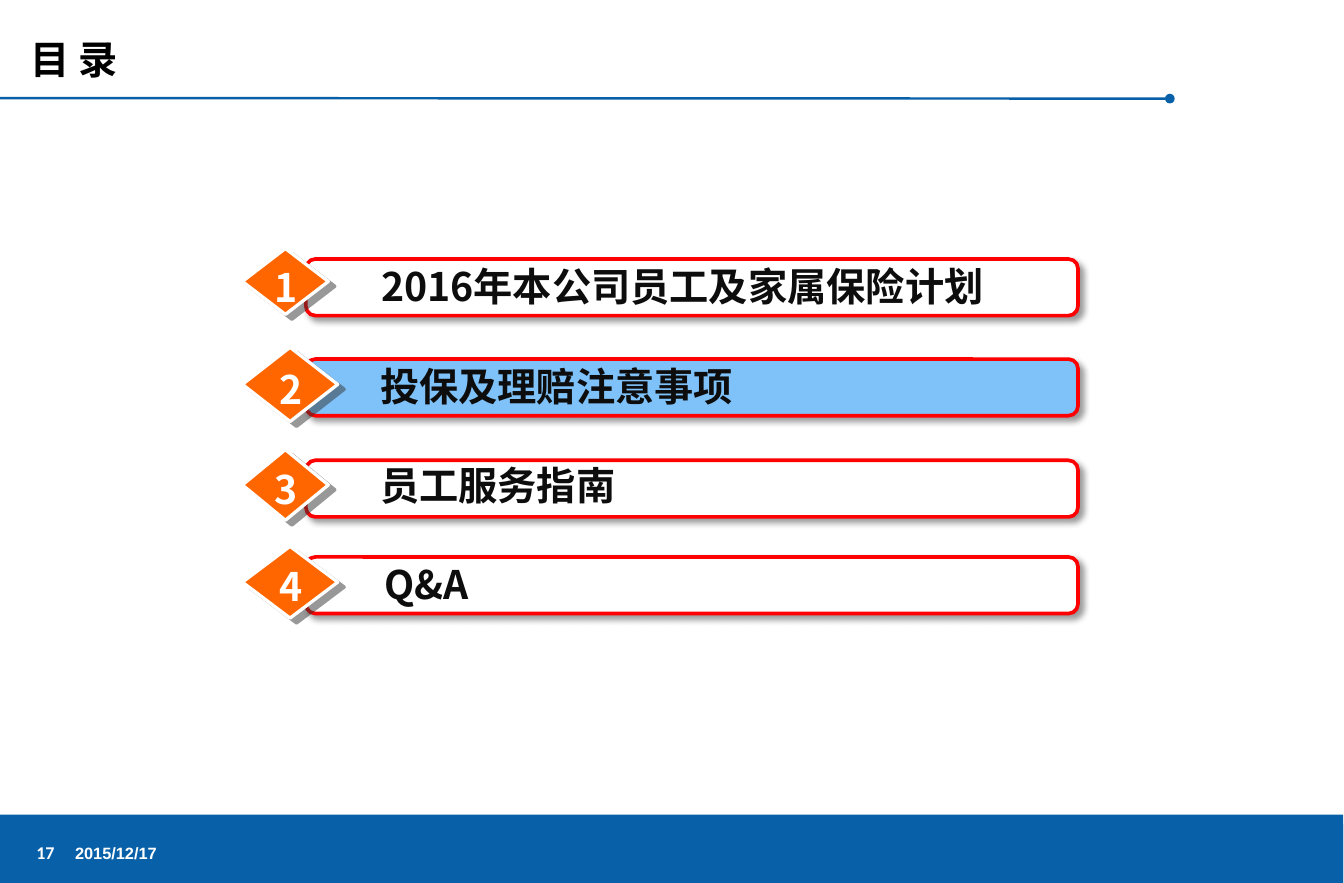
from dataclasses import dataclass
from typing import Any

from lxml import etree
from pptx import Presentation
from pptx import util as u
from pptx.dml.color import RGBColor
from pptx.enum import shapes as sh, text as tx
from pptx.oxml.ns import qn


@dataclass(frozen=True)
class Theme:
    blue: str = "0860A8"
    sky: str = "7FC2F9"
    red: str = "FF0000"
    orange: str = "FF6600"
    white: str = "FFFFFF"
    black: str = "000000"
    ink: str = "0D0D0D"
    grey: str = "333333"
    head: float = 24
    page: float = 11
    date: float = 10
    cjk: str = "Noto Sans CJK SC"


@dataclass(frozen=True)
class Shade:
    color: str
    alpha: int
    blur: float
    dist: float
    angle: int


@dataclass(frozen=True)
class Entry:
    label: str
    left: float   # label box
    top: float
    bar: float    # top of the bar
    gem: float    # top of the diamond
    wide: float   # diamond size
    high: float
    digit: float  # top of the number box
    fill: str


T = Theme()
SOFT = Shade(T.black, 40, 4, 3, 45)
HARD = Shade(T.grey, 50, 0, 5, 37)
ENTRIES = [
    Entry("2016年本公司员工及家属保险计划", 226, 157, 158.4, 152, 52.6, 40.3, 157.7, T.white),
    Entry("投保及理赔注意事项", 225.4, 218.2, 219.6, 212.4, 58.3, 45.4, 219.6, T.sky),
    Entry("员工服务指南", 225.4, 278.6, 281.5, 275, 52.6, 43.2, 280.8, T.white),
    Entry("Q&A", 228.2, 339.1, 340.6, 334.1, 58.3, 43.9, 340.6, T.white),
]


def add_text(host: Any, words: str, left: float, top: float, width: float, height: float, *,
             size: float = T.head, color: str = T.ink, face: str = T.cjk,
             wrap: bool = True, grow: bool = True, align: Any = tx.PP_ALIGN.LEFT,
             anchor: Any = tx.MSO_ANCHOR.TOP) -> None:
    box = host.shapes.add_textbox(u.Pt(left), u.Pt(top), u.Pt(width), u.Pt(height))
    frame = box.text_frame
    frame.word_wrap = wrap
    frame.auto_size = tx.MSO_AUTO_SIZE.SHAPE_TO_FIT_TEXT if grow else tx.MSO_AUTO_SIZE.NONE
    frame.vertical_anchor = anchor
    para = frame.paragraphs[0]
    para.alignment = align
    run = para.add_run()
    run.text = words
    font = run.font
    font.size, font.bold, font.name = u.Pt(size), True, face
    font.color.rgb = RGBColor.from_string(color)
    etree.SubElement(run._r.get_or_add_rPr(), qn("a:ea"), typeface=face)


def add_form(host: Any, kind: Any, left: float, top: float, width: float, height: float, *,
             fill: str, line: str = "", weight: float = 0, shade: Shade | None = None) -> Any:
    form = host.shapes.add_shape(kind, u.Pt(left), u.Pt(top), u.Pt(width), u.Pt(height))
    form.fill.solid()
    form.fill.fore_color.rgb = RGBColor.from_string(fill)
    if line:
        form.line.color.rgb = RGBColor.from_string(line)
        form.line.width = u.Pt(weight)
    else:
        form.line.fill.background()
    form.shadow.inherit = False
    if shade:
        cast = etree.SubElement(form._element.spPr.find(qn("a:effectLst")), qn("a:outerShdw"),
                                blurRad=str(u.Pt(shade.blur)), dist=str(u.Pt(shade.dist)),
                                dir=str(shade.angle * 60000), algn="tl", rotWithShape="0")
        tint = etree.SubElement(cast, qn("a:srgbClr"), val=shade.color)
        etree.SubElement(tint, qn("a:alpha"), val=str(shade.alpha * 1000))
    return form


def add_rule(slide: Any) -> None:
    rule = slide.shapes.add_connector(sh.MSO_CONNECTOR.STRAIGHT,
                                      u.Pt(0), u.Pt(60), u.Pt(715.7), u.Pt(60.3))
    rule.line.color.rgb = RGBColor.from_string(T.blue)
    rule.line.width = u.Pt(1.5)
    etree.SubElement(rule.line._get_or_add_ln(), qn("a:tailEnd"), type="oval")
    etree.SubElement(rule._element.spPr, qn("a:effectLst"))


def add_entry(slide: Any, rank: int, item: Entry) -> None:
    bar = add_form(slide, sh.MSO_SHAPE.ROUNDED_RECTANGLE, 187.2, item.bar, 472.3, 34.6,
                   fill=item.fill, line=T.red, weight=2.25, shade=SOFT)
    bar.adjustments[0] = 0.167
    add_text(slide, item.label, item.left, item.top, 440.6, 36)
    # Number badge
    badge = slide.shapes.add_group_shape()
    add_form(badge, sh.MSO_SHAPE.DIAMOND, 148.3, item.gem, item.wide, item.high,
             fill=T.orange, line=T.white, weight=2, shade=HARD)
    add_text(badge, str(rank), 149 + item.wide / 2 - 14.75, item.digit, 29.5, 36,
             color=T.white, wrap=False, align=tx.PP_ALIGN.CENTER)


def main() -> None:
    deck = Presentation()
    deck.slide_width, deck.slide_height = u.Pt(822.24), u.Pt(540)
    slide = deck.slides.add_slide(deck.slide_layouts[6])

    # Footer band and title rule
    for top in (504, 498.2):
        add_form(slide, sh.MSO_SHAPE.RECTANGLE, 0, top, 821.7, 540 - top, fill=T.blue)
    add_rule(slide)

    # Title
    add_text(slide, "目 录", 11.5, 18, 87.8, 36, color=T.black)

    # Contents
    for rank, item in enumerate(ENTRIES, 1):
        add_entry(slide, rank, item)

    # Page number and date
    mid = tx.MSO_ANCHOR.MIDDLE
    add_text(slide, "17", 15.1, 509.5, 37.4, 23.8, size=T.page, color=T.white,
             face="Calibri", grow=False, anchor=mid)
    add_text(slide, "2015/12/17", 38.9, 509.5, 67.7, 23.8, size=T.date, color=T.white,
             face="Arial", grow=False, anchor=mid)

    deck.save("out.pptx")


if __name__ == "__main__":
    main()
